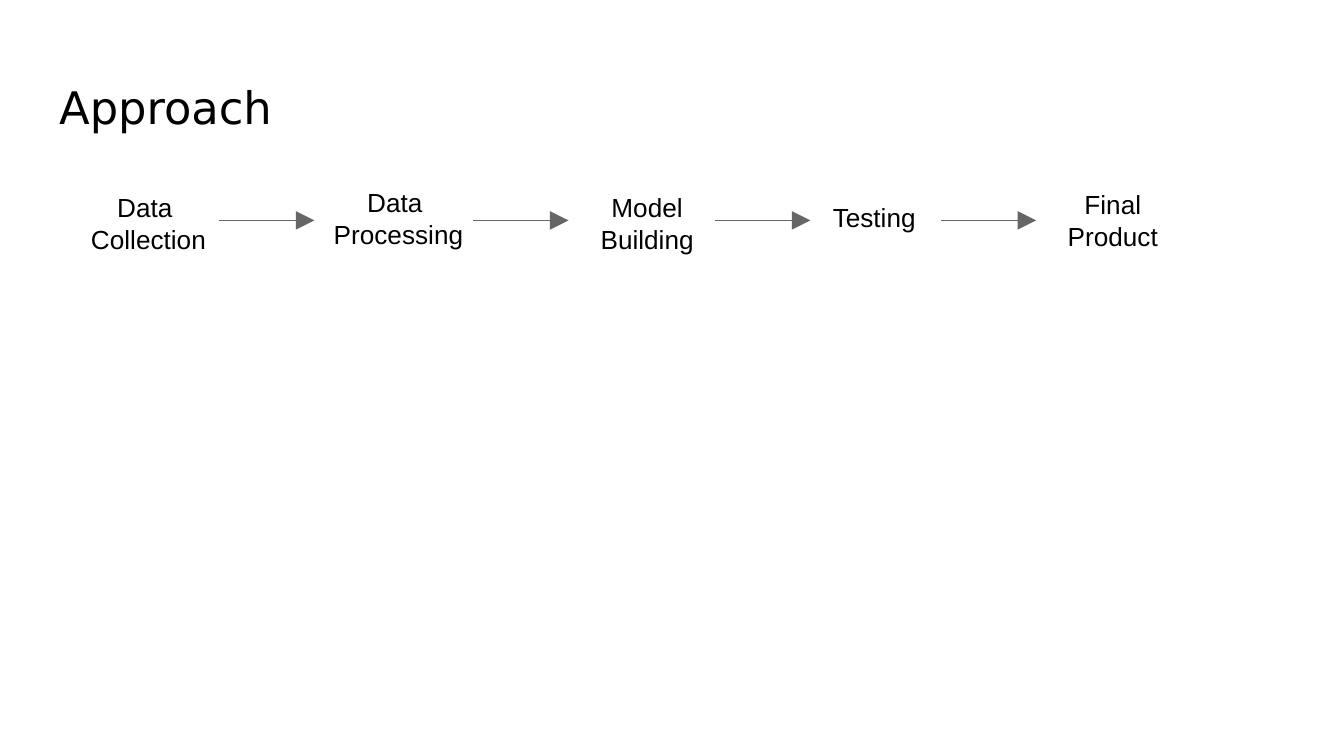
import pptx
import pptx.util
import pptx.dml.color
import pptx.enum.shapes
import pptx.enum.text
import pptx.oxml.ns
from lxml import etree

Inches, Pt = pptx.util.Inches, pptx.util.Pt
BLACK = pptx.dml.color.RGBColor(0x00, 0x00, 0x00)
GRAY = pptx.dml.color.RGBColor(0x66, 0x66, 0x66)

# Content: step lines with box left, width and height in inches
TITLE = "Approach"
STEPS = [
    (["Data ", "Collection"], 0.48, 1.25, 0.63),
    (["Data ", "Processing"], 2.34, 1.25, 0.70),
    (["Model", "Building"], 4.19, 1.25, 0.63),
    (["Testing"], 5.88, 1.25, 0.48),
    (["Final", "Product"], 7.79, 0.98, 0.67),
]
ARROW_STARTS = [1.63, 3.52, 5.32, 7.00]
ARROW_LENGTH = 0.71
FLOW_Y = 1.64  # shared centre line of steps and arrows


def write(shape, lines, font, size, align):
    tf = shape.text_frame
    tf.word_wrap = True
    tf.auto_size = pptx.enum.text.MSO_AUTO_SIZE.NONE
    tf.vertical_anchor = pptx.enum.text.MSO_ANCHOR.TOP
    tf.margin_left = tf.margin_right = tf.margin_top = tf.margin_bottom = Inches(0.1)
    tf.text = "\n".join(lines)
    for p in tf.paragraphs:
        p.alignment = align
        p.line_spacing = 1.0
        p.space_before = Pt(0)
        p.font.name, p.font.size = font, Pt(size)
        p.font.color.rgb = BLACK


# Widescreen 16:9 slide
prs = pptx.Presentation()
prs.slide_width = Inches(10)
prs.slide_height = prs.slide_width * 9 // 16
s = prs.slides.add_slide(prs.slide_layouts.get_by_name("Title Only"))

# Title
title = s.shapes.title
title.left, title.top = Inches(0.34), Inches(0.49)
title.width, title.height = Inches(9.32), Inches(0.63)
write(title, [TITLE], "DejaVu Sans", 24, pptx.enum.text.PP_ALIGN.LEFT)

# Steps, centred on the flow line
for lines, left, width, height in STEPS:
    sp = s.shapes.add_textbox(Inches(left), Inches(FLOW_Y - height / 2),
                              Inches(width), Inches(height))
    write(sp, lines, "Arial", 14, pptx.enum.text.PP_ALIGN.CENTER)

# Arrows between steps
for x in ARROW_STARTS:
    arrow = s.shapes.add_connector(
        pptx.enum.shapes.MSO_CONNECTOR.STRAIGHT,
        Inches(x), Inches(FLOW_Y), Inches(x + ARROW_LENGTH), Inches(FLOW_Y))
    arrow.line.color.rgb = GRAY
    arrow.line.width = Pt(0.75)
    etree.SubElement(arrow.line._get_or_add_ln(), pptx.oxml.ns.qn("a:tailEnd"),
                     type="triangle", w="lg", len="lg")
    etree.SubElement(arrow._element.spPr, pptx.oxml.ns.qn("a:effectLst"))

prs.save("out.pptx")
